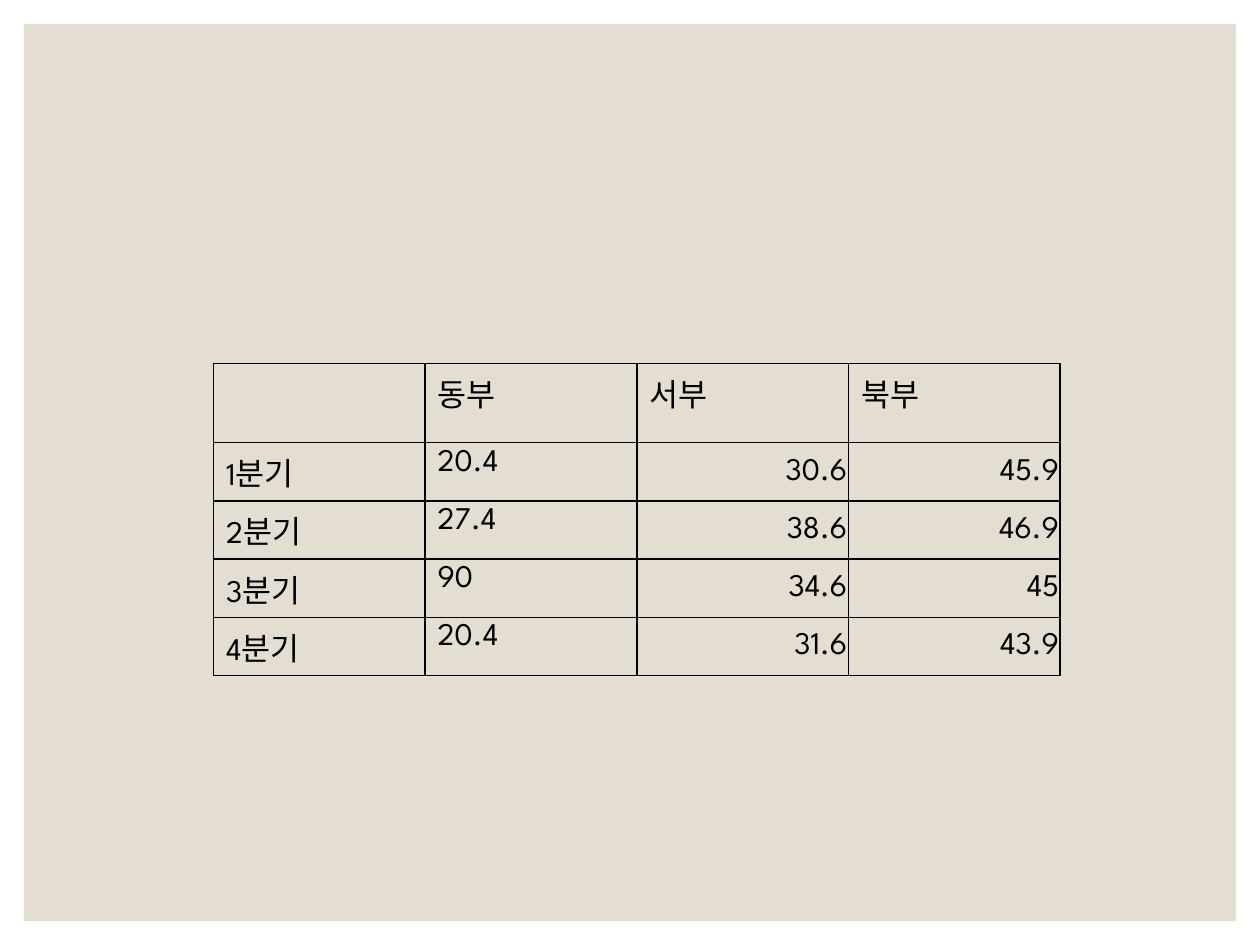
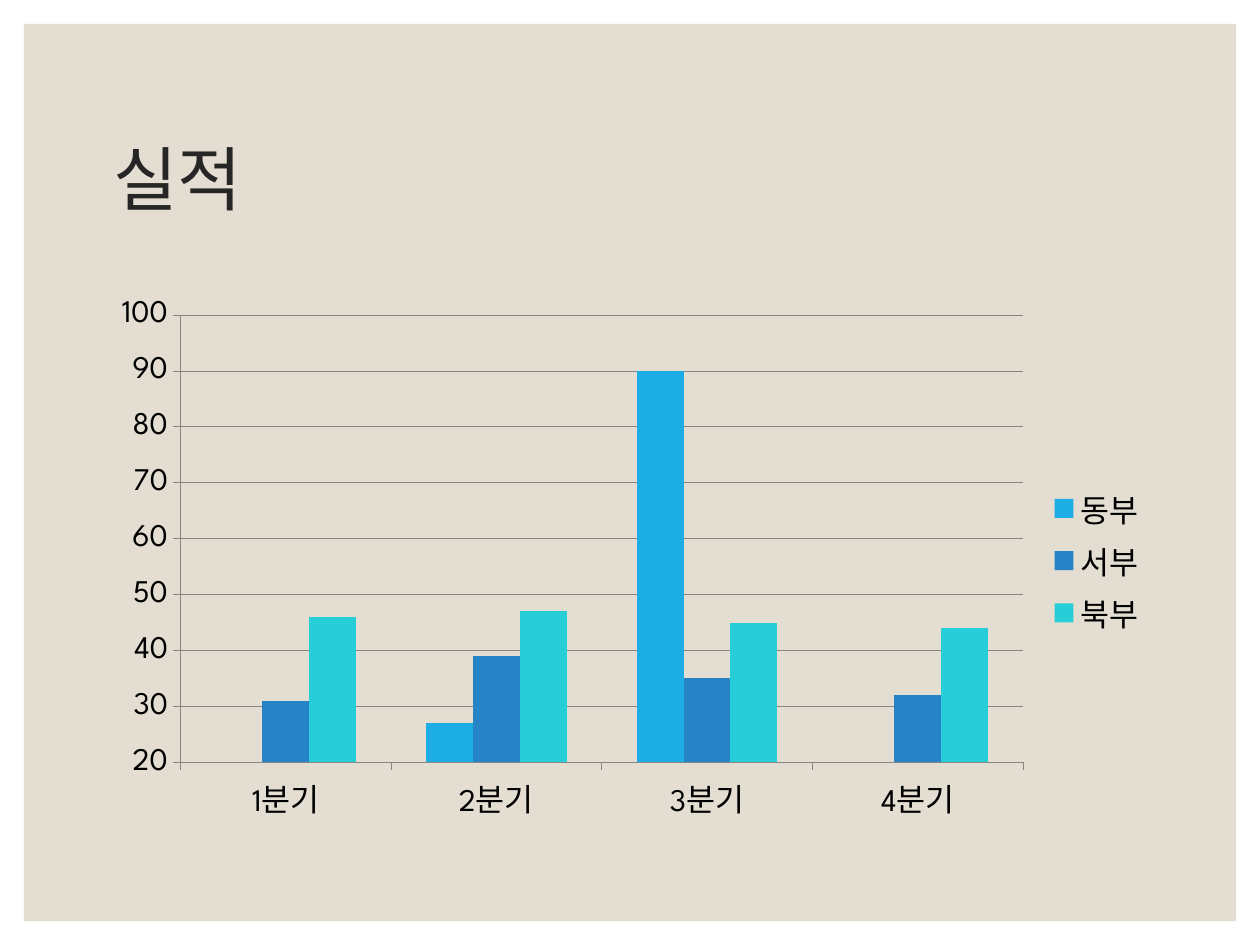
from dataclasses import dataclass

from lxml.etree import SubElement
from pptx import Presentation
from pptx.chart.data import CategoryChartData
from pptx.dml.color import RGBColor
from pptx.enum.chart import XL_CHART_TYPE as ChartType
from pptx.enum.chart import XL_LEGEND_POSITION as LegendPosition
from pptx.enum.chart import XL_TICK_MARK as TickMark
from pptx.enum.shapes import MSO_SHAPE as Preset
from pptx.enum.text import MSO_ANCHOR as Anchor
from pptx.enum.text import PP_ALIGN as Align
from pptx.oxml.ns import qn
from pptx.util import Inches, Pt

FONT = "League Spartan"
INK, TITLE_INK, PANEL, RULE = "000000", "262626", "E3DED1", "868686"
BODY_SIZE, TITLE_SIZE = 18, 40
SLIDE_WIDTH, SLIDE_HEIGHT = Inches(10), Inches(7.5)
COLUMNS, ROWS = 100, 75


@dataclass(frozen=True)
class Box:
    """Place on the slide, in grid columns and rows."""
    left: float
    top: float
    width: float
    height: float

    def lengths(self) -> tuple[int, int, int, int]:
        return (across(self.left), down(self.top),
                across(self.width), down(self.height))


@dataclass(frozen=True)
class Region:
    name: str
    color: str
    results: tuple[float, ...]


QUARTERS = ("1분기", "2분기", "3분기", "4분기")
REGIONS = (
    Region("동부", "1CADE4", (20.4, 27.4, 90, 20.4)),
    Region("서부", "2683C6", (30.6, 38.6, 34.6, 31.6)),
    Region("북부", "27CED7", (45.9, 46.9, 45, 43.9)),
)
PANEL_BOX = Box(1.9, 1.9, 96.2, 71.2)
TITLE_BOX = Box(8, 7, 84, 15)
CHART_BOX = Box(8, 23, 84, 43)
HEADER_ROW, QUARTER_ROW = 6.3, 4.1
TABLE_BOX = Box(16.94, 28.84, 67.2, HEADER_ROW + QUARTER_ROW * len(QUARTERS))


def across(columns: float) -> int:
    return round(SLIDE_WIDTH * columns / COLUMNS)


def down(rows: float) -> int:
    return round(SLIDE_HEIGHT * rows / ROWS)


def rgb(color: str) -> RGBColor:
    return RGBColor.from_string(color)


def set_font(font, size: float = BODY_SIZE, color: str = INK) -> None:
    font.name, font.size = FONT, Pt(size)
    font.color.rgb = rgb(color)


def write(frame, text: str, *, size: float = BODY_SIZE, color: str = INK,
          align: Align = Align.LEFT, spacing: float = 1.0) -> None:
    paragraph = frame.paragraphs[0]
    paragraph.alignment, paragraph.line_spacing = align, spacing
    run = paragraph.add_run()
    run.text = text
    set_font(run.font, size, color)


def add_panel_slide(deck):
    slide = deck.slides.add_slide(deck.slide_layouts[6])
    panel = slide.shapes.add_shape(Preset.RECTANGLE, *PANEL_BOX.lengths())
    panel.shadow.inherit = False
    panel.fill.solid()
    panel.fill.fore_color.rgb = rgb(PANEL)
    panel.line.fill.background()
    return slide


def outline_cell(cell, color: str = INK, width: float = 1) -> None:
    properties = cell._tc.get_or_add_tcPr()
    for side in ("a:lnL", "a:lnR", "a:lnT", "a:lnB"):
        line = SubElement(properties, qn(side), w=str(Pt(width)))
        SubElement(SubElement(line, qn("a:solidFill")), qn("a:srgbClr"), val=color)
    cell.fill.background()


def add_results_table(slide) -> None:
    rows = [("", *(region.name for region in REGIONS))]
    rows += zip(QUARTERS, *(region.results for region in REGIONS))
    table = slide.shapes.add_table(len(rows), len(rows[0]), *TABLE_BOX.lengths()).table
    table.first_row = table.horz_banding = False
    for row_index, row in enumerate(rows):
        table.rows[row_index].height = down(QUARTER_ROW if row_index else HEADER_ROW)
        for column_index, value in enumerate(row):
            cell = table.cell(row_index, column_index)
            outline_cell(cell)
            tight = row_index > 0 and column_index > 1
            if tight:
                cell.vertical_anchor = Anchor.MIDDLE
                cell.margin_left = cell.margin_right = cell.margin_top = Inches(0.01)
                cell.margin_bottom = 0
            write(cell.text_frame, str(value), align=Align.RIGHT if tight else Align.LEFT)


def add_title(slide, text: str) -> None:
    frame = slide.shapes.add_textbox(*TITLE_BOX.lengths()).text_frame
    frame.word_wrap = True
    frame.vertical_anchor = Anchor.MIDDLE
    write(frame, text, size=TITLE_SIZE, color=TITLE_INK, spacing=0.9)


def draw_rule(line) -> None:
    line.color.rgb = rgb(RULE)
    line.width = Pt(0.5)


def add_results_chart(slide) -> None:
    data = CategoryChartData()
    data.categories = QUARTERS
    for region in REGIONS:
        data.add_series(region.name, [round(result) for result in region.results])
    chart = slide.shapes.add_chart(
        ChartType.COLUMN_CLUSTERED, *CHART_BOX.lengths(), data).chart
    set_font(chart.font)
    chart.has_title = False
    chart.has_legend = True
    chart.legend.position = LegendPosition.RIGHT
    chart.legend.include_in_layout = False

    columns = chart.plots[0]
    columns.gap_width, columns.overlap = 150, 0
    columns.vary_by_categories = False
    for series, region in zip(columns.series, REGIONS):
        series.format.fill.solid()
        series.format.fill.fore_color.rgb = rgb(region.color)
        series.invert_if_negative = False

    for axis in (chart.category_axis, chart.value_axis):
        axis.major_tick_mark, axis.minor_tick_mark = TickMark.OUTSIDE, TickMark.NONE
        draw_rule(axis.format.line)
    scale = chart.value_axis
    scale.minimum_scale, scale.maximum_scale, scale.major_unit = 20, 100, 10
    scale.has_major_gridlines = True
    draw_rule(scale.major_gridlines.format.line)


def main() -> None:
    deck = Presentation()
    deck.slide_width, deck.slide_height = SLIDE_WIDTH, SLIDE_HEIGHT
    add_results_table(add_panel_slide(deck))
    results_slide = add_panel_slide(deck)
    add_title(results_slide, "실적")
    add_results_chart(results_slide)
    deck.save("out.pptx")


if __name__ == "__main__":
    main()
